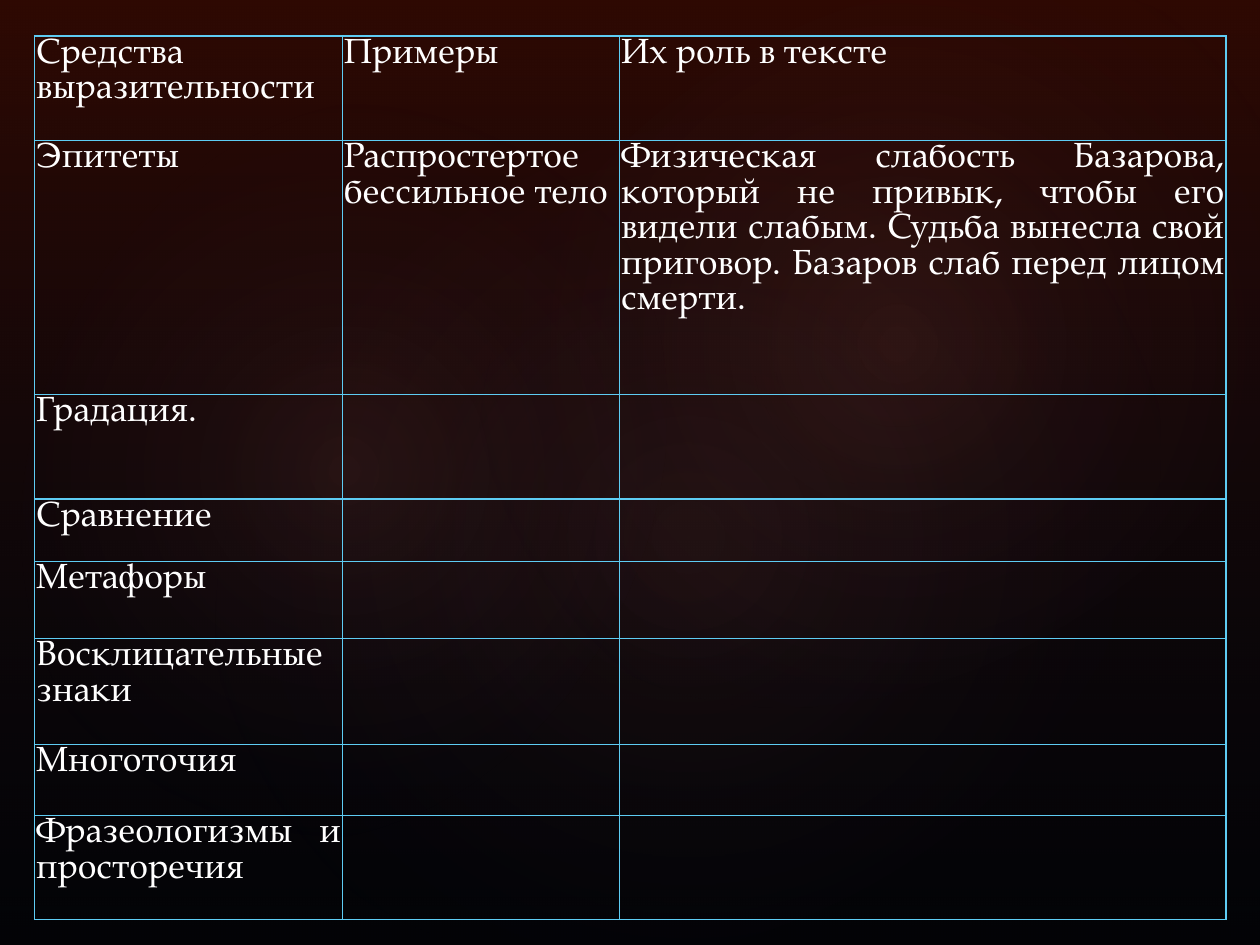
from lxml import etree
from pptx import Presentation
from pptx.dml.color import RGBColor
from pptx.enum.shapes import MSO_SHAPE as Kind
from pptx.enum.text import PP_ALIGN as Align
from pptx.oxml import parse_xml
from pptx.oxml.ns import nsdecls, qn
from pptx.util import Cm, Pt

BLACK = RGBColor(0x00, 0x00, 0x00)
WHITE = RGBColor(0xFF, 0xFF, 0xFF)
RED = RGBColor(0x82, 0x1A, 0x08)
NAVY = RGBColor(0x21, 0x27, 0x45)
CORAL = RGBColor(0xF7, 0x8D, 0x7C)
CYAN = RGBColor(0x5E, 0xCC, 0xF3)
FONT = "TeX Gyre Pagella"

DOWN = '<a:lin ang="5400000" scaled="0"/>'
ROUND = ('<a:path path="circle"><a:fillToRect l="50000" t="50000" '
         'r="50000" b="50000"/></a:path>')

# Left, top, width, height (cm), turn and opacity (%) of each glow
GLOWS = [
    (3.81, 2.9, 20.12, 15.85, 328.7, 7),
    (-0.76, 3.25, 15.39, 12.45, 294.3, 8),
    (9.09, 0.33, 18.01, 13.21, 328.7, 8),
]
COLS = [6.2, 5.59, 12.22]
# Row height (cm) and cell texts
ROWS = [
    (2.1, ["Средства выразительности", "Примеры", "Их роль в тексте"]),
    (5.12, ["Эпитеты", "Распростертое бессильное тело",
            "Физическая слабость Базарова, который не привык, чтобы его "
            "видели слабым. Судьба вынесла свой приговор. Базаров слаб "
            "перед лицом смерти."]),
    (2.11, ["Градация."]),
    (1.26, ["Сравнение"]),
    (1.55, ["Метафоры"]),
    (2.14, ["Восклицательные знаки"]),
    (1.43, ["Многоточия"]),
    (2.1, ["Фразеологизмы и просторечия"]),
]


def add_glow(slide, kind, box, stops, mode, turn=0):
    """Add a borderless shape with a see-through gradient."""
    shape = slide.shapes.add_shape(kind, *map(Cm, box))
    shape.shadow.inherit = False
    shape.line.fill.background()
    shape.rotation = turn
    marks = "".join(
        f'<a:gs pos="{pos * 1000}"><a:srgbClr val="{color}">'
        f'<a:alpha val="{alpha * 1000}"/></a:srgbClr></a:gs>'
        for pos, color, alpha in stops)
    grad = parse_xml(f'<a:gradFill {nsdecls("a")} rotWithShape="1">'
                     f'<a:gsLst>{marks}</a:gsLst>{mode}</a:gradFill>')
    shape.element.spPr.find(qn("a:prstGeom")).addnext(grad)


def set_text(cell, text):
    """Write justified text with tight lines."""
    cell.margin_left = cell.margin_right = Cm(0.03)
    cell.margin_top = cell.margin_bottom = Cm(0.03)
    cell.text_frame.text = text
    para = cell.text_frame.paragraphs[0]
    para.alignment = Align.JUSTIFY
    para.line_spacing = Pt(20.3)
    para.font.size = Pt(20)
    for run in para.runs:
        font = run.font
        font.name, font.size = FONT, Pt(20)
        font.color.rgb = WHITE


def set_frame(cell):
    """Clear the fill and draw the four cell borders."""
    cell.fill.background()
    props = cell._tc.get_or_add_tcPr()
    for spot, side in enumerate(("lnL", "lnR", "lnT", "lnB")):
        line = etree.Element(qn(f"a:{side}"), w=str(Pt(1)))
        fill = etree.SubElement(line, qn("a:solidFill"))
        etree.SubElement(fill, qn("a:srgbClr"), val=str(CYAN))
        props.insert(spot, line)


def add_grid(slide):
    high = sum(row[0] for row in ROWS)
    frame = slide.shapes.add_table(len(ROWS), len(COLS), Cm(0.7), Cm(0.73),
                                   Cm(sum(COLS)), Cm(high))
    table = frame.table
    table.first_row = table.horz_banding = False
    for col, width in zip(table.columns, COLS):
        col.width = Cm(width)
    for row, (height, texts) in zip(table.rows, ROWS):
        row.height = Cm(height)
        for spot, cell in enumerate(row.cells):
            set_text(cell, texts[spot] if spot < len(texts) else "")
            set_frame(cell)


def main():
    deck = Presentation()
    deck.slide_width, deck.slide_height = Cm(25.4), Cm(19.05)
    slide = deck.slides.add_slide(deck.slide_layouts[6])

    # Backdrop
    back = slide.background.fill
    back.solid()
    back.fore_color.rgb = BLACK
    add_glow(slide, Kind.RECTANGLE, (0, 0, 25.4, 19.05),
             [(0, RED, 36), (100, NAVY, 10)], DOWN)
    for *box, turn, alpha in GLOWS:
        add_glow(slide, Kind.OVAL, box,
                 [(0, CORAL, alpha), (58, NAVY, 0)], ROUND, turn)

    # Table of devices
    add_grid(slide)
    deck.save("out.pptx")


main()
